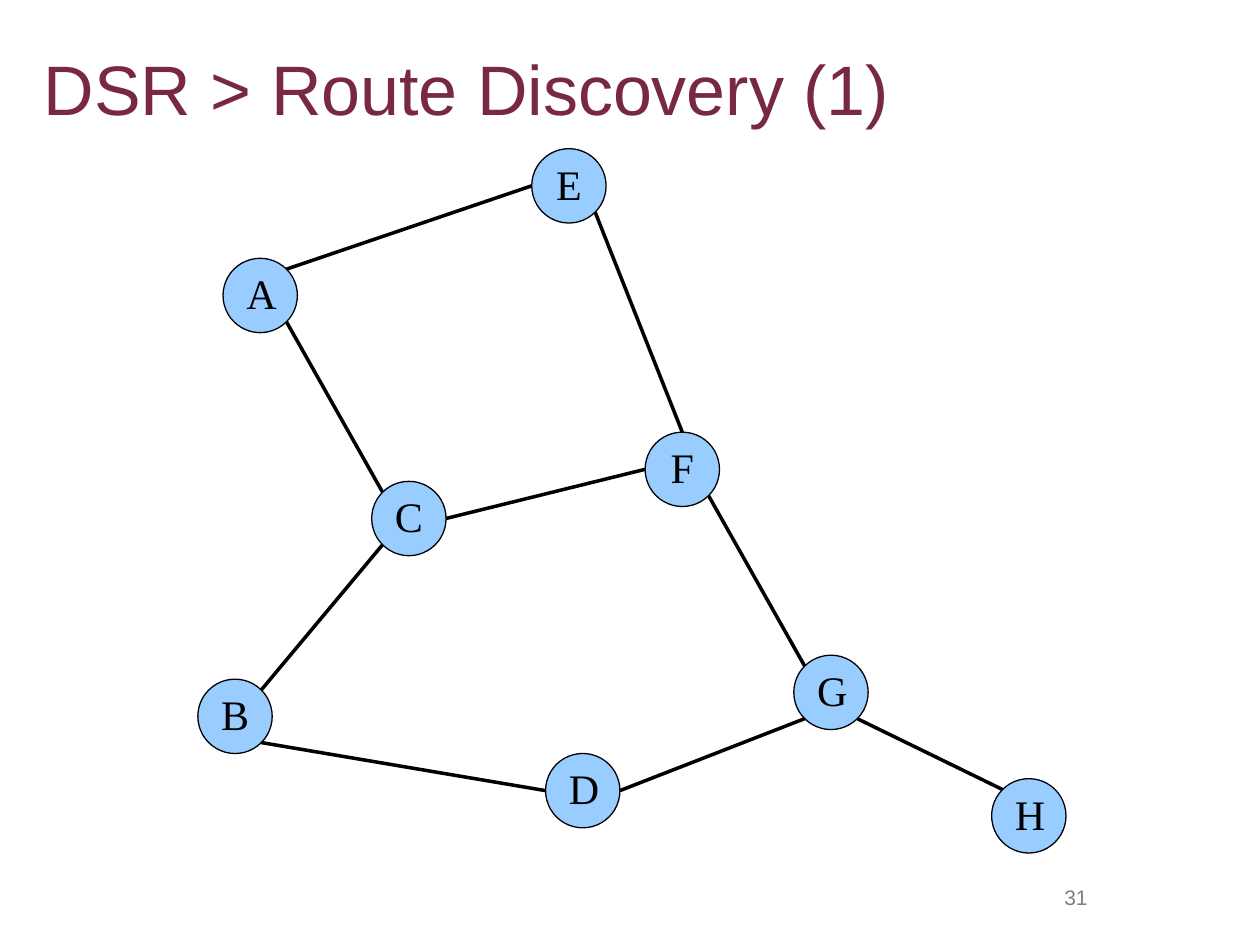
from math import sqrt

from lxml import etree
from pptx import Presentation
from pptx.dml.color import RGBColor
from pptx.enum.shapes import MSO_CONNECTOR, MSO_SHAPE
from pptx.enum.text import MSO_ANCHOR, PP_ALIGN
from pptx.oxml.ns import qn
from pptx.util import Inches, Pt

OVAL = MSO_SHAPE.OVAL
LINE = MSO_CONNECTOR.STRAIGHT
MID, TOP = MSO_ANCHOR.MIDDLE, MSO_ANCHOR.TOP
LEFT, MIDST, RIGHT = PP_ALIGN.LEFT, PP_ALIGN.CENTER, PP_ALIGN.RIGHT

COLS, ROWS = 100, 75
CELL = Inches(10) / COLS
SIZE = 5.9
DIAG = sqrt(0.5)

NODES = {
    "A": (17.7, 20.5), "B": (15.7, 53.9), "C": (29.5, 38.2), "E": (42.2, 11.8),
    "D": (43.3, 59.8), "F": (51.2, 34.3), "G": (63, 52), "H": (78.7, 61.8),
}
SIDES = {
    "n": (0, -1), "e": (1, 0), "w": (-1, 0), "ne": (DIAG, -DIAG),
    "nw": (-DIAG, -DIAG), "se": (DIAG, DIAG), "sw": (-DIAG, DIAG),
}
LINKS = [
    ("A", "ne", "E", "w"), ("E", "se", "F", "n"), ("C", "nw", "A", "se"),
    ("C", "e", "F", "w"), ("B", "ne", "C", "sw"), ("B", "se", "D", "w"),
    ("F", "se", "G", "nw"), ("D", "e", "G", "sw"), ("G", "se", "H", "nw"),
]


def grid(*cells):
    return [round(cell * CELL) for cell in cells]


def tint(code):
    return RGBColor.from_string(code)


def apply(item, values):
    for name, value in values.items():
        setattr(item, name, value)


def write(shape, text, font, color, frame, para):
    body = shape.text_frame
    apply(body, frame)
    line = body.paragraphs[0]
    apply(line, para)
    run = line.add_run()
    run.text = text
    apply(run.font, font)
    run.font.color.rgb = tint(color)


def label(slide, box, text, font, color, frame, para):
    shape = slide.shapes.add_textbox(*grid(*box))
    write(shape, text, font, color, {"word_wrap": True, **frame}, para)


def node(slide, name, spot):
    shape = slide.shapes.add_shape(OVAL, *grid(*spot, SIZE, SIZE))
    shape.shadow.inherit = False
    shape.fill.solid()
    shape.fill.fore_color.rgb = tint("99CCFF")
    shape.line.color.rgb = tint("000000")
    shape.line.width = Pt(0)
    write(shape, name, {"size": Pt(24), "name": "Times New Roman"}, "000000",
          {"vertical_anchor": MID, "margin_top": Inches(0.13), "word_wrap": True},
          {"alignment": MIDST, "line_spacing": 0.61})


def port(name, side):
    return grid(*(at + SIZE / 2 * (1 + way)
                  for at, way in zip(NODES[name], SIDES[side])))


def link(slide, start, out, end, into):
    wire = slide.shapes.add_connector(LINE, *port(start, out), *port(end, into))
    wire.line.color.rgb = tint("000000")
    wire.line.width = Pt(0)
    etree.SubElement(wire._element.spPr, qn("a:effectLst"))


def main():
    deck = Presentation()
    deck.slide_width, deck.slide_height = grid(COLS, ROWS)
    slide = deck.slides.add_slide(deck.slide_layouts[6])
    label(slide, (2.5, 3.6, 85.8, 7.9), "DSR > Route Discovery (1)",
          {"size": Pt(40), "name": "Arial"}, "782941",
          {"vertical_anchor": MID}, {"alignment": LEFT, "line_spacing": 0.8})
    for name, spot in NODES.items():
        node(slide, name, spot)
    for ends in LINKS:
        link(slide, *ends)
    label(slide, (77.5, 69.7, 9.8, 3.2), "31",
          {"size": Pt(12), "name": "Arial"}, "808080",
          {"vertical_anchor": TOP}, {"alignment": RIGHT, "space_before": Pt(7.5)})
    deck.save("out.pptx")


if __name__ == "__main__":
    main()
